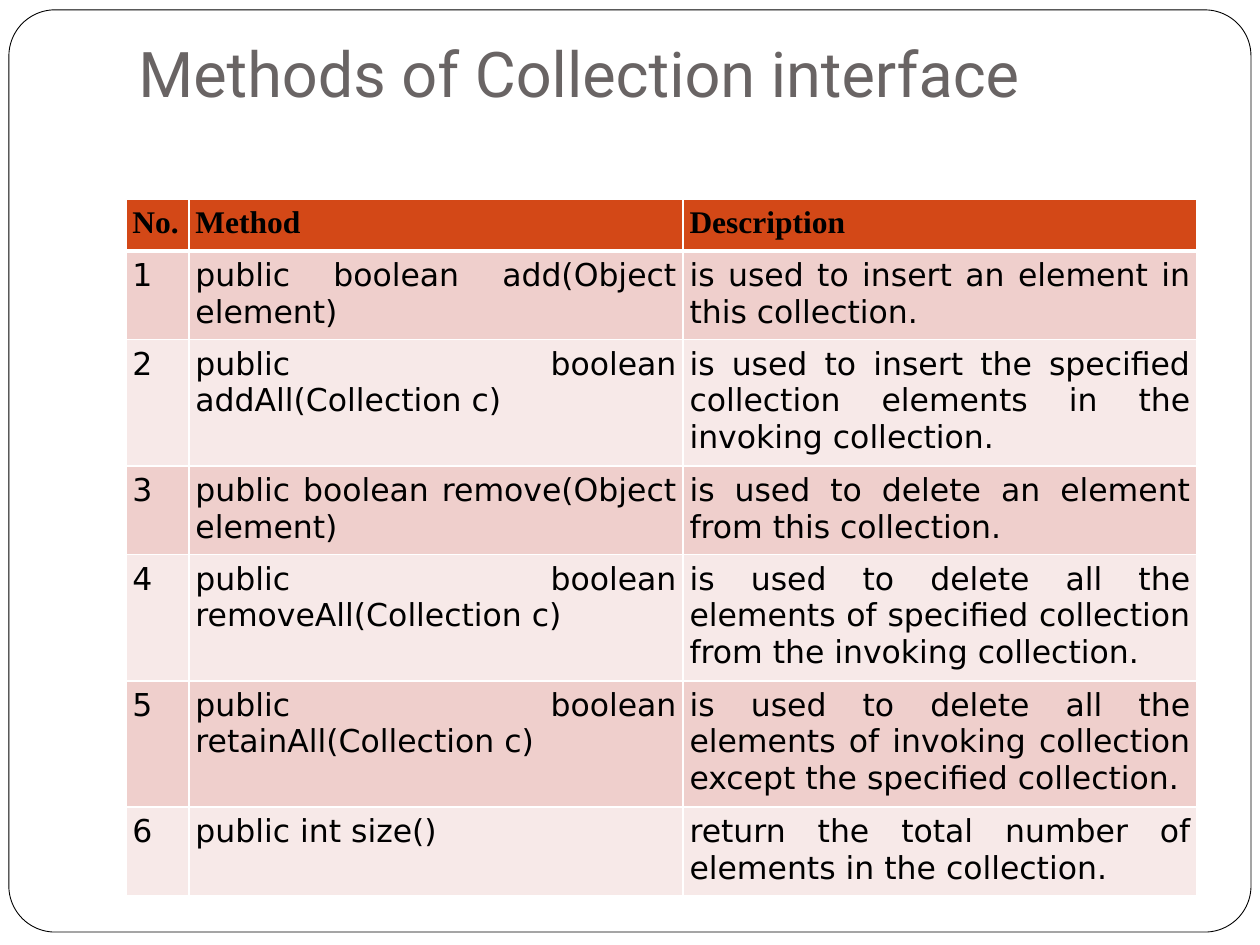
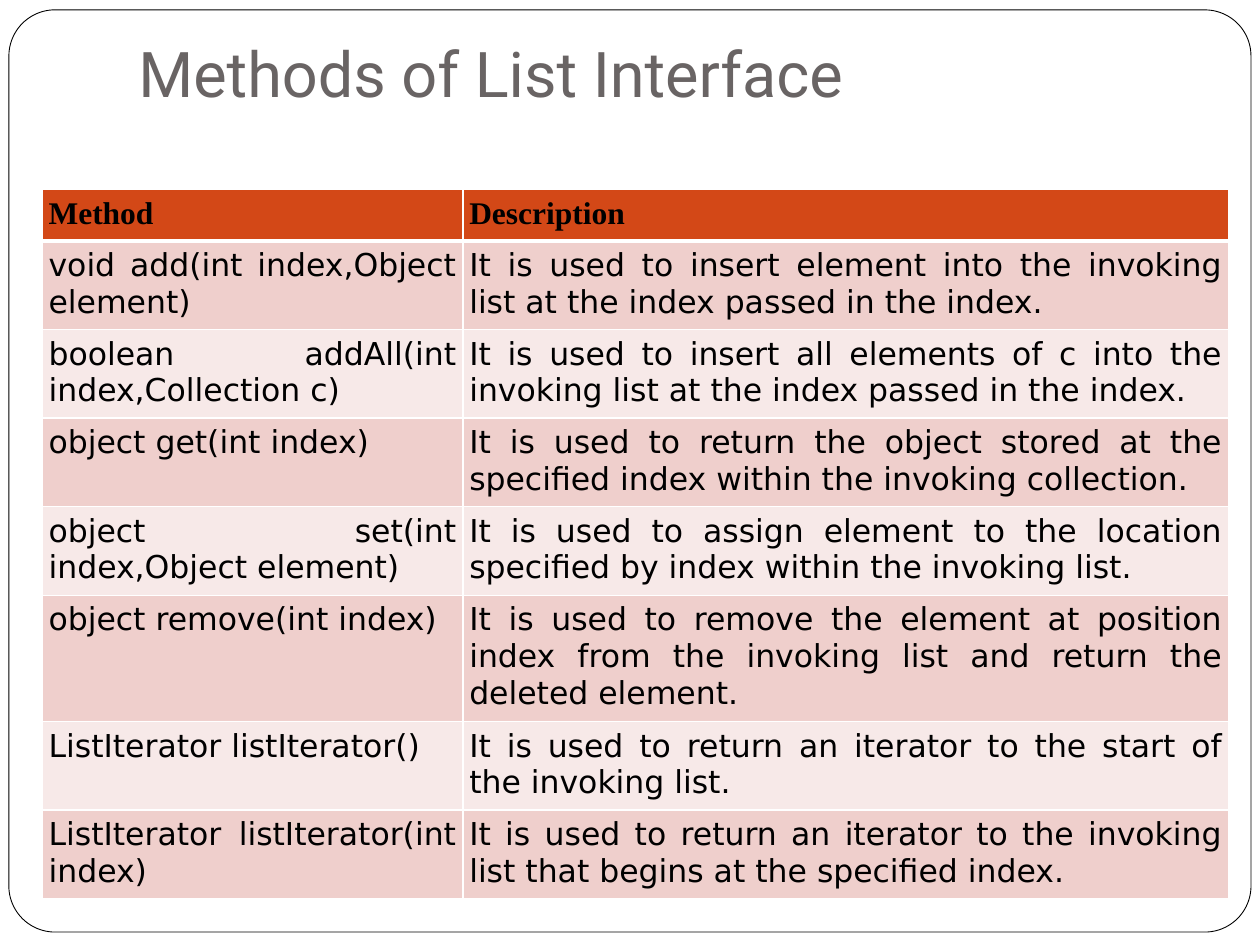
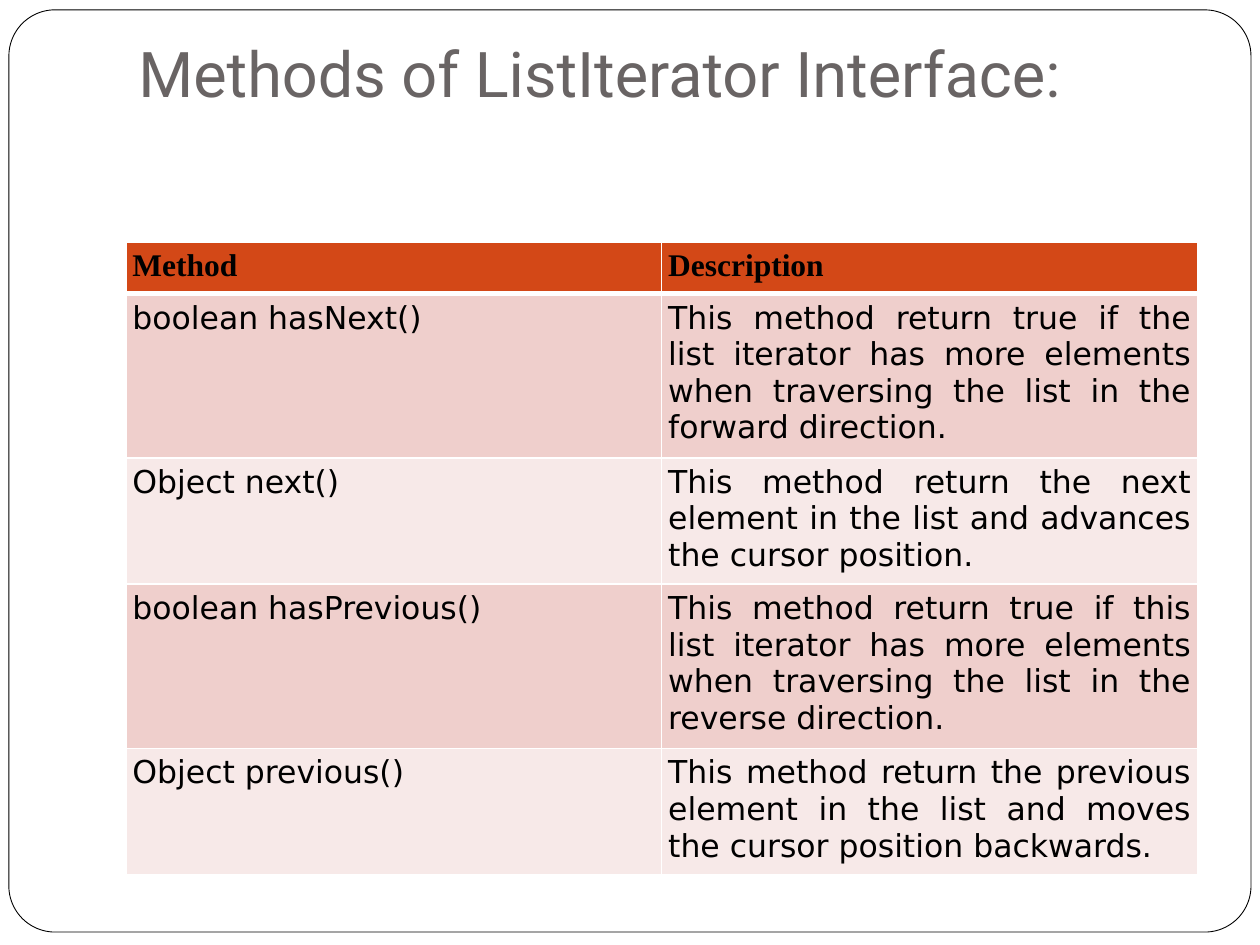
from lxml.etree import SubElement
from pptx import Presentation
from pptx.dml.color import RGBColor
from pptx.enum.shapes import MSO_SHAPE
from pptx.enum.text import MSO_ANCHOR, PP_ALIGN
from pptx.oxml.ns import qn
from pptx.util import Cm, Pt

WHITE, BLACK, GREY = "FFFFFF", "000000", "696464"
RUST = "D34817"
BANDS = ("EFCFCC", "F7E9E8")
HEAD = {"font": "Times New Roman", "size": 18, "bold": True}
BODY = {"font": "DejaVu Sans", "size": 18, "align": PP_ALIGN.JUSTIFY}
TITLE = {"font": "Roboto", "size": 36, "color": GREY}

COLLECTION = [
    ("No.", "Method", "Description"),
    ("1", "public boolean add(Object element)",
     "is used to insert an element in this collection."),
    ("2", "public boolean addAll(Collection c)",
     "is used to insert the specified collection elements in the invoking collection."),
    ("3", "public boolean remove(Object element)",
     "is used to delete an element from this collection."),
    ("4", "public boolean removeAll(Collection c)",
     "is used to delete all the elements of specified collection from the invoking collection."),
    ("5", "public boolean retainAll(Collection c)",
     "is used to delete all the elements of invoking collection except the specified collection."),
    ("6", "public int size()",
     "return the total number of elements in the collection."),
]

LIST = [
    ("Method", "Description"),
    ("void add(int index,Object element)",
     "It is used to insert element into the invoking list at the index passed in the index."),
    ("boolean addAll(int index,Collection c)",
     "It is used to insert all elements of c into the invoking list at the index passed in the index."),
    ("object get(int index)",
     "It is used to return the object stored at the specified index within the invoking collection."),
    ("object set(int index,Object element)",
     "It is used to assign element to the location specified by index within the invoking list."),
    ("object remove(int index)",
     "It is used to remove the element at position index from the invoking list and return the deleted element."),
    ("ListIterator listIterator()",
     "It is used to return an iterator to the start of the invoking list."),
    ("ListIterator listIterator(int index)",
     "It is used to return an iterator to the invoking list that begins at the specified index."),
]

ITERATOR = [
    ("Method", "Description"),
    ("boolean hasNext()",
     "This method return true if the list iterator has more elements when traversing the list in the forward direction."),
    ("Object next()",
     "This method return the next element in the list and advances the cursor position."),
    ("boolean hasPrevious()",
     "This method return true if this list iterator has more elements when traversing the list in the reverse direction."),
    ("Object previous()",
     "This method return the previous element in the list and moves the cursor position backwards."),
]


def rgb(code):
    """Turn a hex string into a colour."""
    return RGBColor.from_string(code)


def write(frame, text, font, size, color=BLACK, bold=False, align=PP_ALIGN.LEFT):
    """Put one formatted paragraph in a text frame."""
    para = frame.paragraphs[0]
    para.alignment = align
    run = para.add_run()
    run.text = text
    run.font.name = font
    run.font.size = Pt(size)
    run.font.bold = bold
    run.font.color.rgb = rgb(color)


def border(cell, **widths):
    """Draw white cell borders, 1 point wide unless a side says otherwise."""
    props = cell._tc.get_or_add_tcPr()
    for side in "LRTB":
        line = SubElement(props, qn(f"a:ln{side}"), w=str(Pt(widths.get(side, 1))))
        fill = SubElement(line, qn("a:solidFill"))
        SubElement(fill, qn("a:srgbClr"), val=WHITE)


def add_frame(slide):
    """Add the rounded outline around the slide."""
    shape = slide.shapes.add_shape(
        MSO_SHAPE.ROUNDED_RECTANGLE, Cm(0.18), Cm(0.2), Cm(25.04), Cm(18.59))
    shape.adjustments[0] = 0.05
    shape.shadow.inherit = False
    shape.fill.solid()
    shape.fill.fore_color.rgb = rgb(WHITE)
    shape.line.color.rgb = rgb(BLACK)
    shape.line.width = Pt(0.5)


def add_title(slide, text):
    """Add the slide title."""
    box = slide.shapes.add_textbox(Cm(2.54), Cm(0.7), Cm(21.59), Cm(3.2))
    frame = box.text_frame
    frame.word_wrap = True
    frame.vertical_anchor = MSO_ANCHOR.TOP
    frame.margin_top = 0
    write(frame, text, **TITLE)


def add_grid(slide, left, top, tall, widths, rows):
    """Add a table with a rust header and banded rows."""
    shape = slide.shapes.add_table(
        len(rows), len(widths), Cm(left), Cm(top), Cm(sum(widths)), Cm(tall))
    table = shape.table
    for col, width in zip(table.columns, widths):
        col.width = Cm(width)
    for i, texts in enumerate(rows):
        table.rows[i].height = Cm(1.04)
        for j, text in enumerate(texts):
            cell = table.cell(i, j)
            cell.margin_left = cell.margin_right = Cm(0.13)
            cell.margin_top = cell.margin_bottom = Cm(0.13)
            border(cell, T=3 if i == 1 else 1, B=3 if i == 0 else 1)
            cell.fill.solid()
            cell.fill.fore_color.rgb = rgb(BANDS[(i - 1) % 2] if i else RUST)
            write(cell.text_frame, text, **(BODY if i else HEAD))
    shape.height = Cm(tall)


def add_page(deck, title, *grid):
    """Add one slide with its outline, title and table."""
    slide = deck.slides.add_slide(deck.slide_layouts[6])
    add_frame(slide)
    add_title(slide, title)
    add_grid(slide, *grid)


def main():
    """Build and save the deck."""
    deck = Presentation()
    deck.slide_width, deck.slide_height = Cm(25.4), Cm(19.05)
    add_page(deck, "Methods of Collection interface",
             2.54, 4.02, 14.05, (1.27, 9.96, 10.36), COLLECTION)
    add_page(deck, "Methods of List Interface",
             0.85, 3.82, 14.3, (8.48, 15.44), LIST)
    add_page(deck, "Methods of ListIterator Interface:",
             2.54, 4.88, 12.75, (10.8, 10.8), ITERATOR)
    deck.save("out.pptx")


if __name__ == "__main__":
    main()
